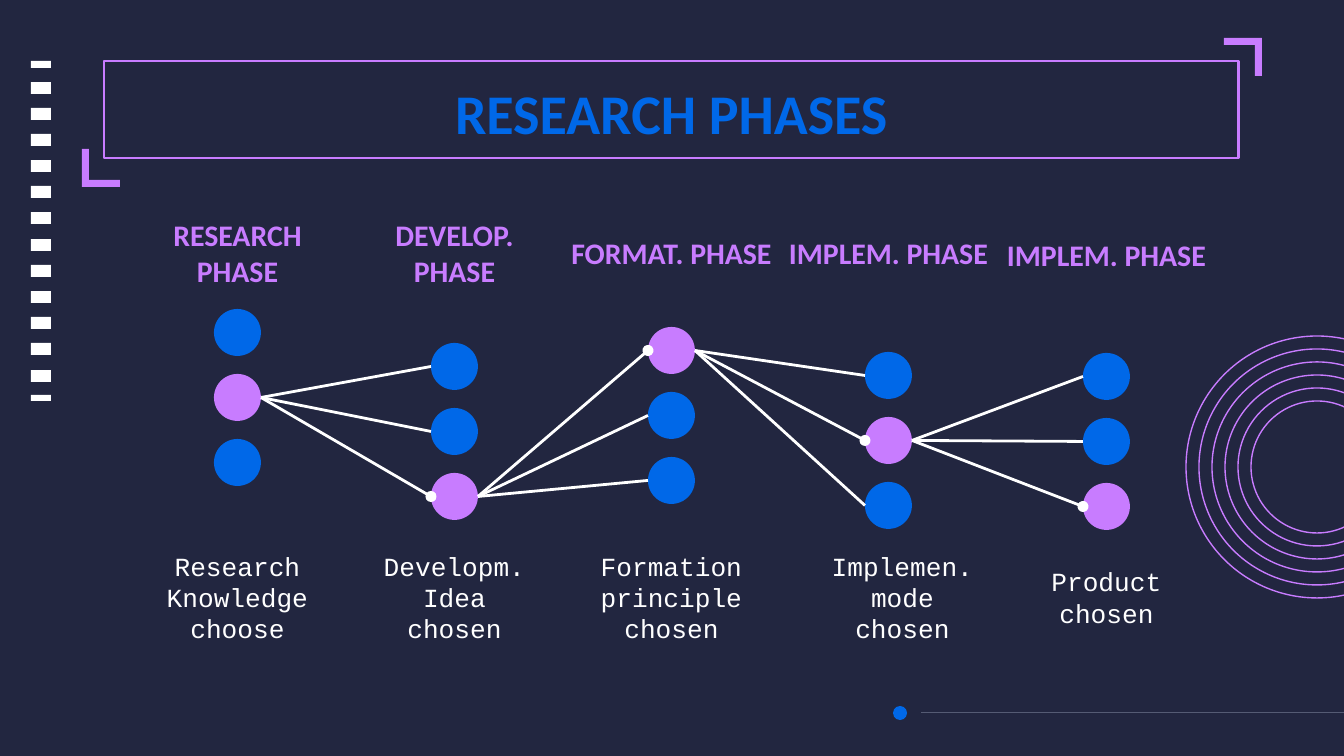
from pptx import Presentation
from pptx.dml.color import RGBColor
from pptx.enum.shapes import MSO_CONNECTOR, MSO_SHAPE
from pptx.enum.text import MSO_ANCHOR, PP_ALIGN
from pptx.oxml.ns import qn
from pptx.util import Pt
from lxml import etree

STRAIGHT = MSO_CONNECTOR.STRAIGHT
OVAL = MSO_SHAPE.OVAL
RECTANGLE = MSO_SHAPE.RECTANGLE
TOP = MSO_ANCHOR.TOP
MIDDLE = MSO_ANCHOR.MIDDLE
CENTER = PP_ALIGN.CENTER

SCALE = 9144000 / 1344
NAVY, BLUE, PURPLE, WHITE, GREY = "222640", "0068E8", "C87CFF", "FFFFFF", "555B74"

TITLE = {"size": Pt(30), "name": "Calibri", "bold": True}
HEADING = {"size": Pt(16), "name": "Calibri", "bold": True}
CAPTION = {"size": Pt(14), "name": "Courier New", "bold": False}

DOT, ROW_STEP = 47, 65
PHASES = [
    ("RESEARCH PHASE", 192, 309, 1, "Research Knowledge choose", 0),
    ("DEVELOP. PHASE", 192, 343, 2, "Developm. Idea chosen", 0),
    ("FORMAT. PHASE", 192, 327, 0, "Formation principle chosen", 0),
    ("IMPLEM. PHASE", 192, 352, 1, "Implemen.mode chosen", 14),
    ("IMPLEM. PHASE", 194, 353, 2, "Product chosen", 0),
]


def px(value):
    return round(value * SCALE)


def rgb(color):
    return RGBColor.from_string(color)


def paint(shape, fill=None, line=None, weight=1.0):
    shape.shadow.inherit = False
    if fill:
        shape.fill.solid()
        shape.fill.fore_color.rgb = rgb(fill)
    else:
        shape.fill.background()
    if line:
        shape.line.color.rgb = rgb(line)
        shape.line.width = Pt(weight)
    else:
        shape.line.fill.background()


def add_shape(page, kind, left, top, width, height, **look):
    shape = page.shapes.add_shape(kind, px(left), px(top), px(width), px(height))
    paint(shape, **look)


def add_line(page, start, end, color, weight, dotted_end=False):
    line = page.shapes.add_connector(STRAIGHT, *map(px, start + end))
    line.line.color.rgb = rgb(color)
    line.line.width = Pt(weight)
    properties = line._element.spPr
    if dotted_end:
        etree.SubElement(properties.find(qn("a:ln")), qn("a:tailEnd"), type="oval")
    etree.SubElement(properties, qn("a:effectLst"))


def add_text(page, text, left, top, width, height, color, style, anchor=MIDDLE):
    box = page.shapes.add_textbox(px(left), px(top), px(width), px(height))
    frame = box.text_frame
    frame.word_wrap = True
    frame.vertical_anchor = anchor
    para = frame.paragraphs[0]
    para.alignment = CENTER
    span = para.add_run()
    span.text = text
    for name, value in style.items():
        setattr(span.font, name, value)
    span.font.color.rgb = rgb(color)


def add_corner(page, x, y, right, down):
    outline = [(0, 38), (0, 0), (38, 0), (38, 7), (7, 7), (7, 38)]
    points = [(x + right * across, y + down * along) for across, along in outline]
    builder = page.shapes.build_freeform(*points[0], scale=SCALE)
    builder.add_line_segments(points[1:], close=True)
    paint(builder.convert_to_shape(), fill=PURPLE)


def add_decoration(page):
    for radius in range(66, 132, 13):
        add_shape(page, OVAL, 1317 - radius, 467 - radius, 2 * radius, 2 * radius,
                  line=PURPLE, weight=0.75)
    stripes = [(61, 7), *((82 + i * 288 // 11, 12) for i in range(12)), (395, 6)]
    for top, height in stripes:
        add_shape(page, RECTANGLE, 31, top, 20, height, fill=WHITE)
    add_line(page, (921, 713), (1344, 713), GREY, 0.5)
    add_shape(page, OVAL, 893, 706, 14, 14, fill=BLUE)


def add_title(page):
    add_shape(page, RECTANGLE, 104, 61, 1135, 97, line=PURPLE, weight=1.5)
    add_corner(page, 82, 187, 1, -1)
    add_corner(page, 1262, 38, -1, 1)
    add_text(page, "RESEARCH PHASES", 104, 72, 1135, 100, BLUE, TITLE, TOP)


def add_phases(page):
    source = None
    for column, (heading, heading_top, first, chosen, caption, shift) in enumerate(PHASES):
        left = 214 + column * 869 // 4
        center = left + DOT / 2
        add_text(page, heading, center - 114, heading_top, 228, 122, PURPLE, HEADING)
        add_text(page, caption, center + shift - 90, 556, 180, 82, WHITE, CAPTION)
        for row in range(3):
            top = first + row * ROW_STEP
            add_shape(page, OVAL, left, top, DOT, DOT,
                      fill=PURPLE if row == chosen else BLUE)
            if source:
                add_line(page, source, (left, top + DOT / 2), WHITE, 1.5, row == chosen)
        source = (left + DOT, first + chosen * ROW_STEP + DOT / 2)


def main():
    deck = Presentation()
    deck.slide_width, deck.slide_height = px(1344), px(756)
    page = deck.slides.add_slide(deck.slide_layouts[6])
    page.background.fill.solid()
    page.background.fill.fore_color.rgb = rgb(NAVY)
    add_decoration(page)
    add_title(page)
    add_phases(page)
    deck.save("out.pptx")


if __name__ == "__main__":
    main()
